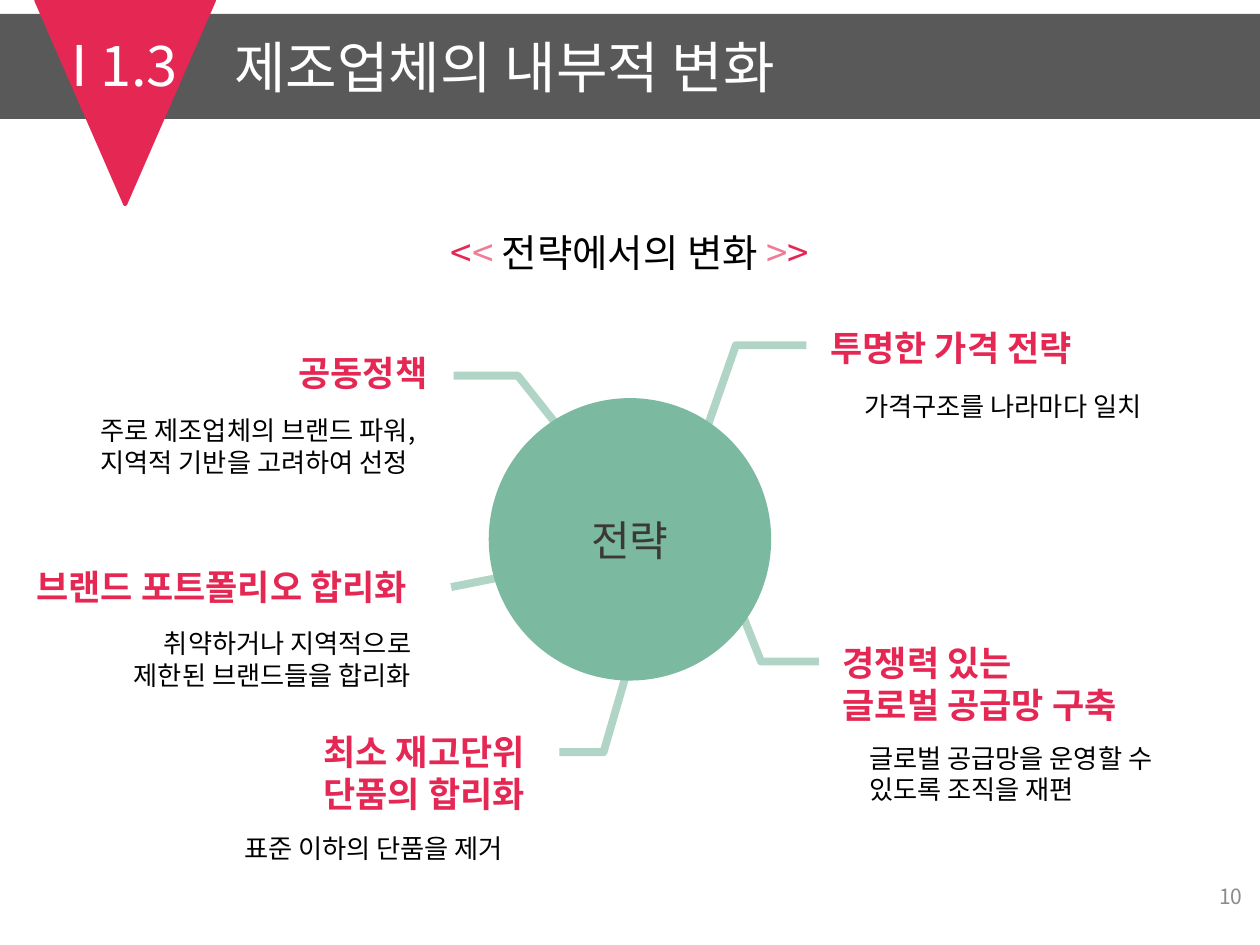
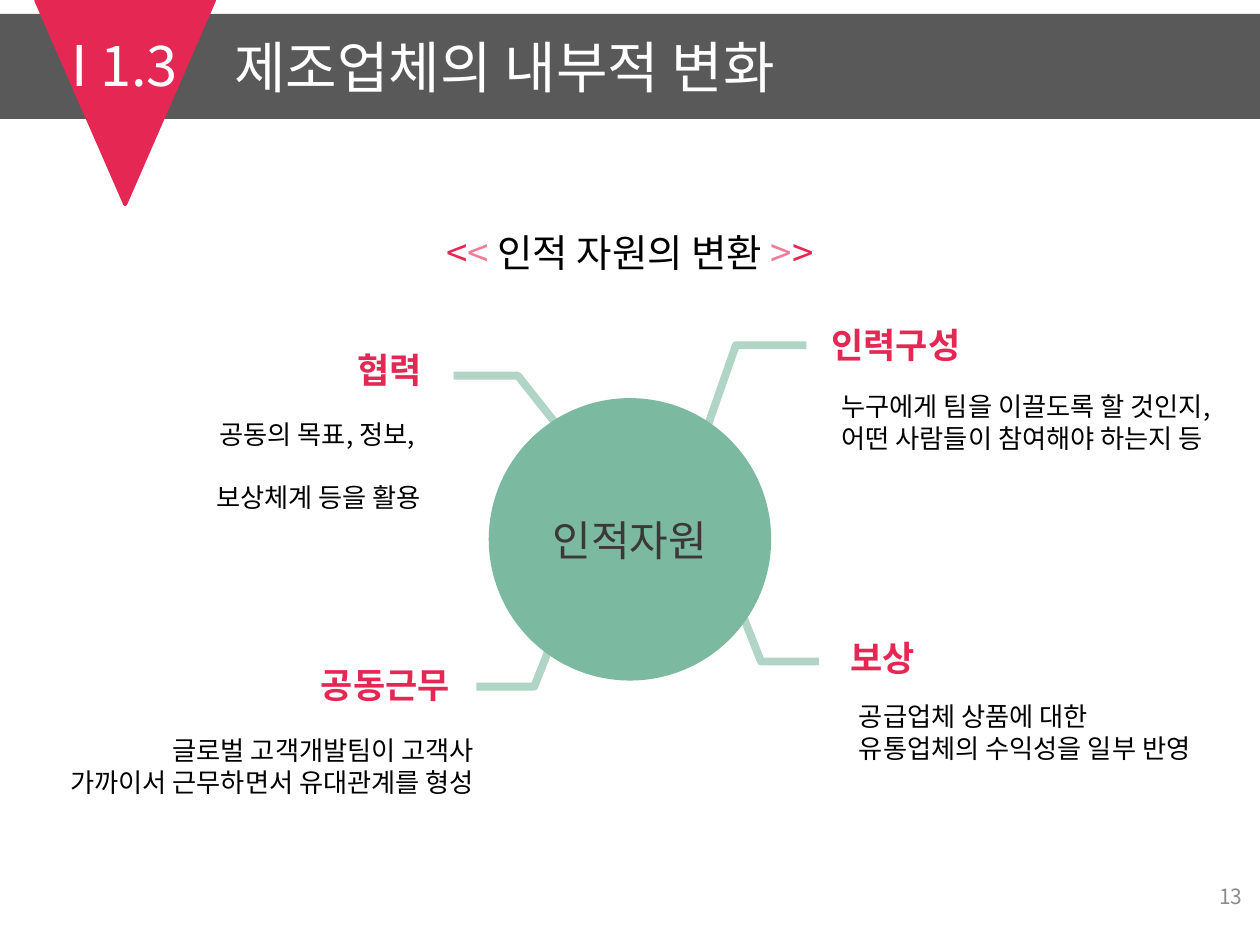
"""Builds two slides on internal changes at manufacturers, each a hub with labelled leaders."""
from lxml import etree
from pptx import Presentation
from pptx.dml.color import RGBColor
from pptx.enum.shapes import MSO_CONNECTOR, MSO_SHAPE
from pptx.enum.text import MSO_ANCHOR, MSO_AUTO_SIZE, PP_ALIGN
from pptx.oxml.ns import qn
from pptx.util import Pt

LEFT, MID, RIGHT = PP_ALIGN.LEFT, PP_ALIGN.CENTER, PP_ALIGN.RIGHT
TOP, MIDDLE = MSO_ANCHOR.TOP, MSO_ANCHOR.MIDDLE
FIXED, GROW = MSO_AUTO_SIZE.NONE, MSO_AUTO_SIZE.SHAPE_TO_FIT_TEXT
RECT, OVAL, WEDGE = MSO_SHAPE.RECTANGLE, MSO_SHAPE.OVAL, MSO_SHAPE.ISOSCELES_TRIANGLE
STRAIGHT = MSO_CONNECTOR.STRAIGHT

SANS, ROBOTO = "Noto Sans CJK KR", "Roboto"
THEME = {
    "band": "595959", "red": "E52754", "pink": "EF7D98", "hub": "7BB9A0", "leader": "B0D5C6",
    "title": (32, SANS, "FFFFFF", False),
    "sub": (22, SANS, "000000", False),
    "center": (24, SANS, "3B3838", False),
    "head": (20, ROBOTO, "E52754", True),
    "note": (15, SANS, "000000", False),
    "page": (12, SANS, "8C8C8C", False),
}
PITCH = 1.2

UPPER = [
    [(403.9, 244.8), (420.5, 197.3), (460.8, 197.3)],
    [(422.6, 347), (434.9, 378), (468, 378)],
    [(317.5, 241.9), (295.9, 214.6), (259.2, 214.6)],
]
SLIDES = [
    {
        "sub": "전략에서의 변화 ", "hub": "전략", "page": "10",
        "leaders": UPPER + [
            [(360, 378), (344.9, 429.8), (319.7, 429.8)],
            [(286.5, 329.8), (257.8, 335.5)],
        ],
        "labels": [
            ("head", 163.4, 197.3, 91.4, LEFT, ["공동정책"], 0),
            ("note", 50.4, 233.3, 211.7, LEFT,
             ["주로 제조업체의 브랜드 파워,", "지역적 기반을 고려하여 선정"], 0),
            ("head", 13.7, 319.7, 238.3, LEFT, ["브랜드 포트폴리오 합리화"], 0),
            ("note", 58.3, 355, 187.2, RIGHT,
             ["취약하거나 지역적으로 ", "제한된 브랜드들을 합리화 "], 0),
            ("head", 177.8, 414, 142.6, LEFT, ["최소 재고단위 ", "단품의 합리화"], 0),
            ("note", 132.5, 472.3, 172.8, LEFT, ["표준 이하의 단품을 제거"], 0),
            ("head", 467.3, 182.9, 162, LEFT, ["투명한 가격 전략"], 0),
            ("note", 486.7, 219.6, 182.2, LEFT, ["가격구조를 나라마다 일치"], 0),
            ("head", 474.5, 362.9, 180.7, LEFT, ["경쟁력 있는", "글로벌 공급망 구축"], 0),
            ("note", 489.6, 420.5, 192.2, LEFT,
             ["글로벌 공급망을 운영할 수", "있도록 조직을 재편"], 0),
        ],
    },
    {
        "sub": "인적 자원의 변환 ", "hub": "인적자원", "page": "13",
        "leaders": UPPER + [[(317.5, 361.4), (305.3, 392.4), (272.2, 392.4)]],
        "labels": [
            ("head", 195.8, 195.8, 52.6, RIGHT, ["협력"], 0),
            ("note", 108, 235.4, 139.7, RIGHT, ["공동의 목표, 정보, ", "보상체계 등을 활용"], 18),
            ("head", 172.8, 375.8, 91.4, RIGHT, ["공동근무"], 0),
            ("note", 17.3, 416.2, 264.2, RIGHT,
             ["글로벌 고객개발팀이 고객사 ", "가까이서 근무하면서 유대관계를 형성 "], 0),
            ("head", 468, 181.4, 91.4, LEFT, ["인력구성"], 0),
            ("note", 473.8, 219.6, 244.8, LEFT,
             ["누구에게 팀을 이끌도록 할 것인지,", "어떤 사람들이 참여해야 하는지 등"], 0),
            ("head", 478.8, 360, 52.6, LEFT, ["보상"], 0),
            ("note", 483.8, 396.7, 216, LEFT,
             ["공급업체 상품에 대한 ", "유통업체의 수익성을 일부 반영"], 0),
        ],
    },
]


def write(shape, lines, style, align, wrap=True, anchor=TOP, fit=FIXED, gap=0):
    frame = shape.text_frame
    frame.word_wrap, frame.vertical_anchor, frame.auto_size = wrap, anchor, fit
    size, face, ink, bold = THEME[style]
    for i, line in enumerate(lines):
        para = frame.add_paragraph() if i else frame.paragraphs[0]
        para.text = line
        para.alignment = align
        para.line_spacing = Pt(size * PITCH)
        para.space_before = Pt(gap if i else 0)
        font = para.font
        font.size, font.name, font.bold = Pt(size), face, bold
        font.color.rgb = RGBColor.from_string(ink)


def block(shapes, kind, box, tone, width=0):
    shape = shapes.add_shape(kind, *map(Pt, box))
    shape.shadow.inherit = False
    shape.fill.solid()
    shape.fill.fore_color.rgb = RGBColor.from_string(tone)
    if width:
        shape.line.color.rgb = RGBColor.from_string(tone)
        shape.line.width = Pt(width)
    else:
        shape.line.fill.background()
    return shape


deck = Presentation()
deck.slide_width, deck.slide_height = Pt(720), Pt(540)

for data in SLIDES:
    slide = deck.slides.add_slide(deck.slide_layouts[5])
    shapes = slide.shapes

    block(shapes, RECT, (0, 8, 720, 60), THEME["band"])
    wedge = block(shapes, WEDGE, (20.6, 0, 101.8, 116.7), THEME["red"], 2.25)
    wedge.rotation = 180
    tag = shapes.add_textbox(Pt(17.3), Pt(13.7), Pt(108), Pt(46))
    write(tag, ["I 1.3"], "title", MID)
    title = shapes.title
    title.left, title.top, title.width, title.height = map(Pt, (126.7, 15.1, 500, 46))
    write(title, ["제조업체의 내부적 변화"], "title", LEFT)
    tag.element.addnext(title.element)

    sub = shapes.add_textbox(0, Pt(127.4), Pt(720), Pt(33.8))
    write(sub, [""], "sub", MID)
    para = sub.text_frame.paragraphs[0]
    for text, tone in (("<", "red"), ("< ", "pink"), (data["sub"], None),
                       (">", "pink"), (">", "red")):
        run = para.add_run()
        run.text = text
        if tone:
            run.font.color.rgb = RGBColor.from_string(THEME[tone])
        else:
            run.font.name = ROBOTO

    for path in data["leaders"]:
        spots = [(Pt(x), Pt(y)) for x, y in path]
        if len(spots) == 2:
            leader = shapes.add_connector(STRAIGHT, *spots[0], *spots[1])
            etree.SubElement(leader.element.spPr, qn("a:effectLst"))
        else:
            pen = shapes.build_freeform(*spots[0])
            pen.add_line_segments(spots[1:], close=False)
            leader = pen.convert_to_shape()
            leader.shadow.inherit = False
            leader.fill.background()
        leader.line.color.rgb = RGBColor.from_string(THEME["leader"])
        leader.line.width = Pt(4.5)

    hub = block(shapes, OVAL, (280.8, 229, 158.4, 158.4), THEME["hub"], 3)
    write(hub, [data["hub"]], "center", MID, wrap=False, anchor=MIDDLE)

    for style, x, y, width, align, lines, gap in data["labels"]:
        tall = 7.2 + len(lines) * THEME[style][0] * PITCH + gap
        label = shapes.add_textbox(Pt(x), Pt(y), Pt(width), Pt(tall))
        write(label, lines, style, align, wrap=False, fit=GROW, gap=gap)

    page = shapes.add_textbox(Pt(549.4), Pt(497.5), Pt(167.8), Pt(28.8))
    write(page, [data["page"]], "page", RIGHT, anchor=MIDDLE)

    for latin in list(slide.element.iter(qn("a:latin"))):
        east = etree.Element(qn("a:ea"), typeface=SANS)
        latin.addnext(east)

deck.save("out.pptx")
